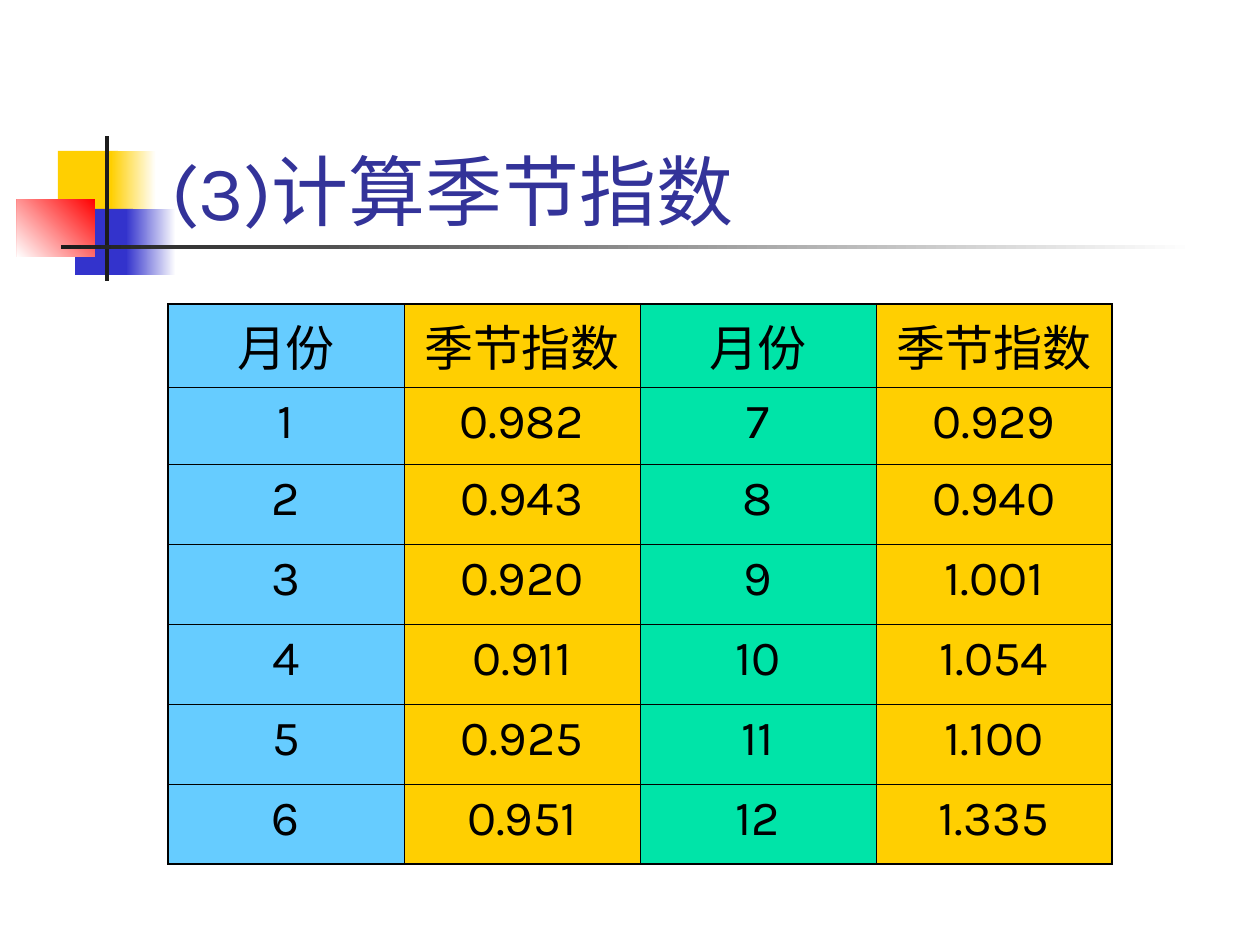
"""Build the seasonal index slide: a title, its corner ornament and a table."""
from lxml.etree import SubElement
from pptx import Presentation
from pptx.dml.color import RGBColor
from pptx.enum.shapes import MSO_SHAPE as Shape
from pptx.enum.text import MSO_ANCHOR as Anchor, MSO_AUTO_SIZE as AutoSize, PP_ALIGN as Align
from pptx.oxml.ns import qn
from pptx.util import Pt

TITLE = "(3)计算季节指数"
HEADER = ["月份", "季节指数"] * 2
INDICES = ["0.982", "0.943", "0.920", "0.911", "0.925", "0.951",
           "0.929", "0.940", "1.001", "1.054", "1.100", "1.335"]
COLORS = {"yellow": "FFCF01", "blue": "3333CC", "red": "FF0000", "white": "FFFFFF",
          "ink": "1C1C1C", "title": "333399", "sky": "66CCFF", "green": "00E4A8",
          "black": "000000"}
ORNAMENT = [
    ((58, 151, 60, 66), ["yellow"], 0),
    ((111, 151, 45, 66), ["white", "yellow"], 180),
    ((75, 209, 58, 66), ["blue"], 0),
    ((126, 209, 50, 66), ["white", "blue"], 180),
    ((17, 199, 78, 58), ["red", "white"], 225),
    ((105, 136, 4, 145), ["ink"], 0),
    ((61, 245, 1134, 4), ["white", "ink"], 180),
]
COLUMN_FILLS = ["sky", "yellow", "green", "yellow"]
ROW_HEIGHTS = [81, 77, 80, 80, 80, 80, 80]
COLUMN_WIDTH = 236
TITLE_BOX = (159, 84, 1074, 158)
TABLE_ORIGIN = (168, 304)
FONT = "Karla"
SCALE = 914400 / 126
THIN, THICK = 0.45, 1.08


def px(*lengths):
    return [round(length * SCALE) for length in lengths]


def rgb(name):
    return RGBColor.from_string(COLORS[name])


def write(paragraph, text, size, color, align):
    paragraph.alignment = align
    run = paragraph.add_run()
    run.text = text
    run.font.name = FONT
    run.font.size = Pt(size)
    run.font.color.rgb = rgb(color)


def add_ornament(slide):
    for box, colors, angle in ORNAMENT:
        block = slide.shapes.add_shape(Shape.RECTANGLE, *px(*box))
        block.shadow.inherit = False
        block.line.fill.background()
        if len(colors) == 1:
            block.fill.solid()
            block.fill.fore_color.rgb = rgb(colors[0])
        else:
            block.fill.gradient()
            block.fill.gradient_angle = angle
            for stop, color in zip(block.fill.gradient_stops, colors):
                stop.color.rgb = rgb(color)


def add_title(slide):
    title = slide.shapes.title
    title.left, title.top, title.width, title.height = px(*TITLE_BOX)
    frame = title.text_frame
    frame.vertical_anchor = Anchor.BOTTOM
    frame.auto_size = AutoSize.NONE
    write(frame.paragraphs[0], TITLE, 44, "title", Align.LEFT)
    title.element.getparent().append(title.element)


def add_borders(cell, outer_sides):
    properties = cell._tc.get_or_add_tcPr()
    for side, outer in zip("LRTB", outer_sides):
        width = Pt(THICK if outer else THIN)
        line = SubElement(properties, qn(f"a:ln{side}"), w=str(width))
        fill = SubElement(line, qn("a:solidFill"))
        SubElement(fill, qn("a:srgbClr"), val=COLORS["black"])


def add_index_table(slide):
    half = len(INDICES) // 2
    rows = [HEADER] + [
        [str(month), INDICES[month - 1], str(month + half), INDICES[month + half - 1]]
        for month in range(1, half + 1)
    ]
    last_row, last_column = len(rows) - 1, len(HEADER) - 1
    size = (COLUMN_WIDTH * len(HEADER), sum(ROW_HEIGHTS))
    table = slide.shapes.add_table(
        len(rows), len(HEADER), *px(*TABLE_ORIGIN, *size)).table
    for column in table.columns:
        column.width = px(COLUMN_WIDTH)[0]
    for r, (values, height) in enumerate(zip(rows, ROW_HEIGHTS)):
        table.rows[r].height = px(height)[0]
        for c, (value, color) in enumerate(zip(values, COLUMN_FILLS)):
            cell = table.cell(r, c)
            add_borders(cell, (c == 0, c == last_column, r == 0, r == last_row))
            cell.fill.solid()
            cell.fill.fore_color.rgb = rgb(color)
            write(cell.text_frame.paragraphs[0], value, 28, "black", Align.CENTER)


def main():
    deck = Presentation()
    deck.slide_width, deck.slide_height = px(1260, 945)
    slide = deck.slides.add_slide(deck.slide_layouts[5])
    add_ornament(slide)
    add_title(slide)
    add_index_table(slide)
    deck.save("out.pptx")


if __name__ == "__main__":
    main()
